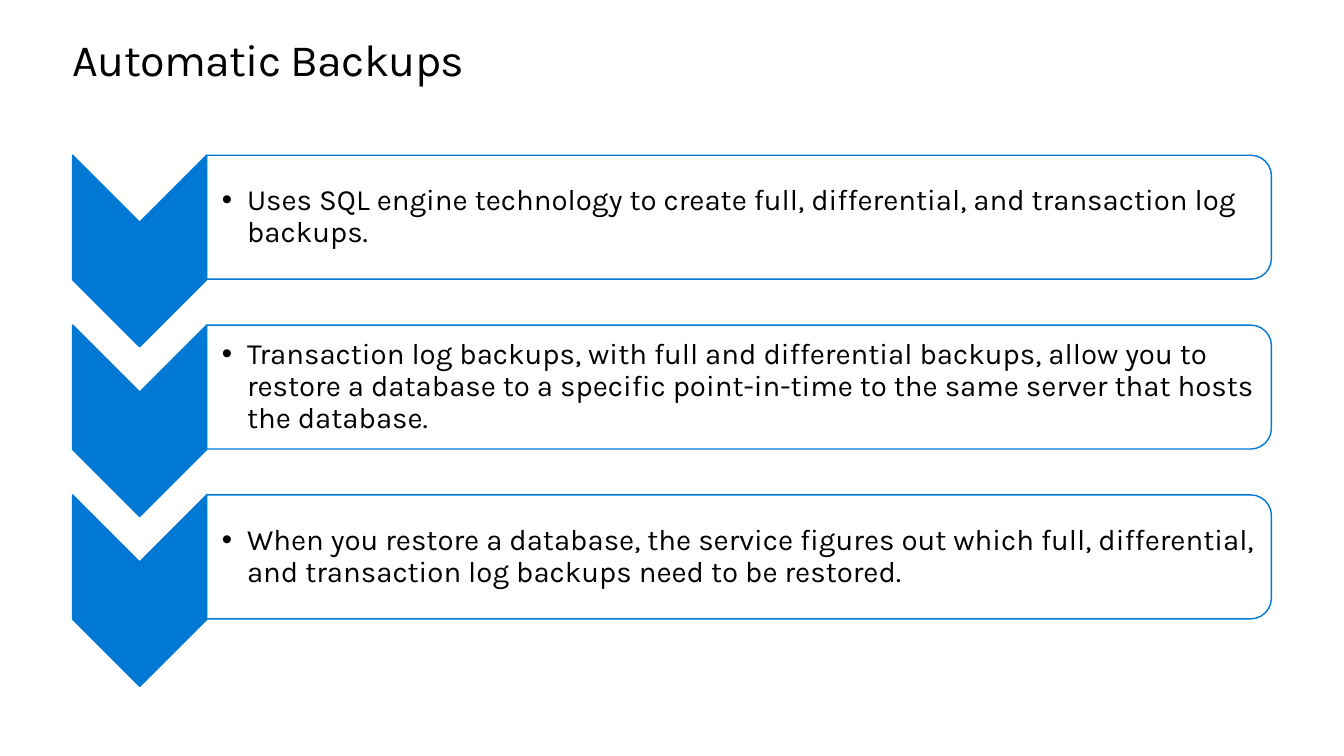
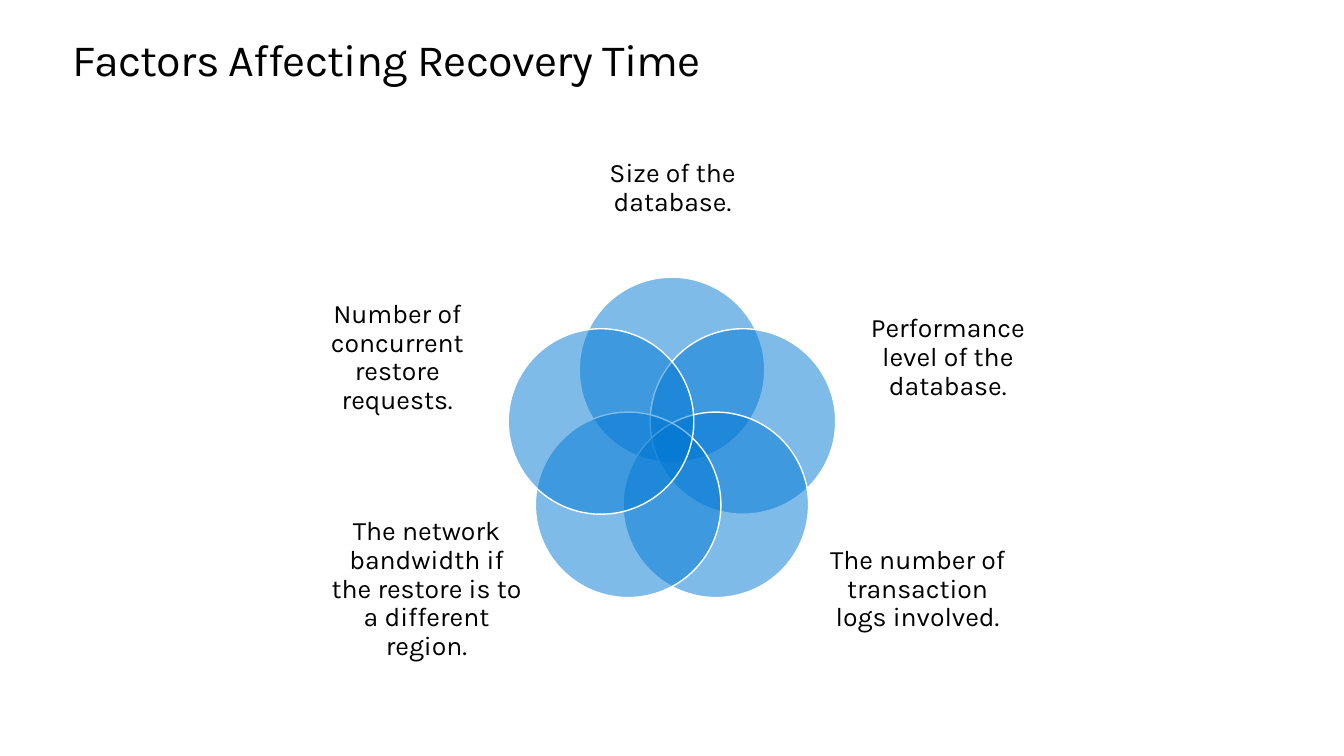
from math import cos, radians, sin

from lxml.etree import SubElement
from pptx import Presentation
from pptx.dml.color import RGBColor
from pptx.enum.shapes import MSO_SHAPE
from pptx.enum.text import MSO_ANCHOR, PP_ALIGN
from pptx.oxml.ns import qn
from pptx.util import Emu, Pt

PX = 9144
FONT = "Karla"
BLUE, WHITE, BLACK = "0078D4", "FFFFFF", "000000"
TITLE_BOX = (72, 35, 1190, 50)
CONTENT_BOX = (72, 125, 1189, 565)

BACKUP_STEPS = [
    "Uses SQL engine technology to create full, differential, and transaction log backups.",
    "Transaction log backups, with full and differential backups, allow you to restore a database "
    "to a specific point-in-time to the same server that hosts the database.",
    "When you restore a database, the service figures out which full, differential, "
    "and transaction log backups need to be restored.",
]
RECOVERY_FACTORS = [
    ("Size of the database.", (488, 0, 214, 124)),
    ("Performance level of the database.", (772, 163, 192, 134)),
    ("The number of transaction logs involved.", (742, 393, 192, 134)),
    ("The network bandwidth if the restore is to a different region.", (255, 393, 192, 134)),
    ("Number of concurrent restore requests.", (226, 163, 192, 134)),
]


def color(value):
    """Turn a hex string into a colour."""
    return RGBColor.from_string(value)


def emu(box):
    """Turn a box in px into EMU lengths."""
    return [Emu(round(length * PX)) for length in box]


def add_shape(page, kind, box, fill, line, opacity=100):
    """Add a filled and outlined preset shape without a shadow."""
    shape = page.shapes.add_shape(kind, *emu(box))
    shape.shadow.inherit = False
    shape.fill.solid()
    shape.fill.fore_color.rgb = color(fill)
    shape.line.color.rgb = color(line)
    shape.line.width = Pt(1)
    if opacity < 100:
        tone = shape.fill._xPr.find(qn("a:solidFill"))[0]
        SubElement(tone, qn("a:alpha"), val=str(opacity * 1000))
    return shape


def add_turned_shape(page, kind, box, fill, line, opacity=100):
    """Add a shape turned by a quarter that covers the given box."""
    left, top, width, height = box
    shift = (width - height) / 2
    shape = add_shape(page, kind, (left + shift, top - shift, height, width), fill, line, opacity)
    shape.rotation = 90


def add_text(page, box, text, size, insets=(0, 0, 0, 0), anchor=MSO_ANCHOR.MIDDLE,
             align=PP_ALIGN.LEFT, spacing=0.9, bullet=False):
    """Add a wrapped one-paragraph text box."""
    holder = page.shapes.add_textbox(*emu(box))
    frame = holder.text_frame
    frame.word_wrap = True
    frame.vertical_anchor = anchor
    frame.margin_left, frame.margin_top, frame.margin_right, frame.margin_bottom = emu(insets)
    frame.text = text
    para = frame.paragraphs[0]
    para.alignment = align
    para.line_spacing = spacing
    if bullet:
        settings = para._p.get_or_add_pPr()
        indent = 25 * PX
        settings.set("marL", str(indent))
        settings.set("indent", str(-indent))
        SubElement(settings, qn("a:buFont"), typeface="Arial")
        SubElement(settings, qn("a:buChar"), char="•")
    span = para.runs[0]
    span.font.name = FONT
    span.font.size = Pt(size)
    span.font.color.rgb = color(BLACK)
    return holder


def add_page(deck, title):
    """Add a blank white slide with the shared title."""
    page = deck.slides.add_slide(deck.slide_layouts[6])
    page.background.fill.solid()
    page.background.fill.fore_color.rgb = color(WHITE)
    holder = add_text(page, TITLE_BOX, title, 32, anchor=MSO_ANCHOR.TOP, spacing=Pt(36.2))
    span = holder.text_frame.paragraphs[0].runs[0]
    span.font._element.set("spc", "-50")
    return page


def add_chevron_list(page, box, steps):
    """Stack chevrons, each with a rounded panel of bulleted text."""
    left, top, width, height = box
    chevron_width, chevron_height, panel_height = 133, 190, 123
    first_top = top + 29
    pitch = (height - 38 - chevron_height) / (len(steps) - 1)
    panel_left = left + chevron_width
    panel_width = width - chevron_width
    for index, step in enumerate(steps):
        row_top = first_top + index * pitch
        add_turned_shape(page, MSO_SHAPE.CHEVRON,
                         (left, row_top, chevron_width, chevron_height), BLUE, BLUE)
        add_turned_shape(page, MSO_SHAPE.ROUND_2_SAME_RECTANGLE,
                         (panel_left, row_top, panel_width, panel_height), WHITE, BLUE, 90)
        add_text(page, (panel_left - 1, row_top + 6, panel_width - 5, panel_height - 12),
                 step, 21, insets=(16, 1, 1, 1), bullet=True)


def add_circle_ring(page, box, factors):
    """Place overlapping circles evenly on a ring, each with its label."""
    left, top, width, height = box
    diameter, ring_radius = 184, 74
    center_x, center_y = left + width / 2, top + 316
    for index, (label, (label_left, label_top, label_width, label_height)) in enumerate(factors):
        angle = radians(360 * index / len(factors) - 90)
        circle_left = center_x + ring_radius * cos(angle) - diameter / 2
        circle_top = center_y + ring_radius * sin(angle) - diameter / 2
        add_shape(page, MSO_SHAPE.OVAL, (circle_left, circle_top, diameter, diameter),
                  BLUE, WHITE, 50)
        add_text(page, (left + label_left, top + label_top, label_width, label_height),
                 label, 19, align=PP_ALIGN.CENTER)


def main():
    """Build and save the deck."""
    deck = Presentation()
    deck.slide_width, deck.slide_height = emu((1333, 750))
    add_chevron_list(add_page(deck, "Automatic Backups"), CONTENT_BOX, BACKUP_STEPS)
    add_circle_ring(add_page(deck, "Factors Affecting Recovery Time"), CONTENT_BOX,
                    RECOVERY_FACTORS)
    deck.save("out.pptx")


if __name__ == "__main__":
    main()
